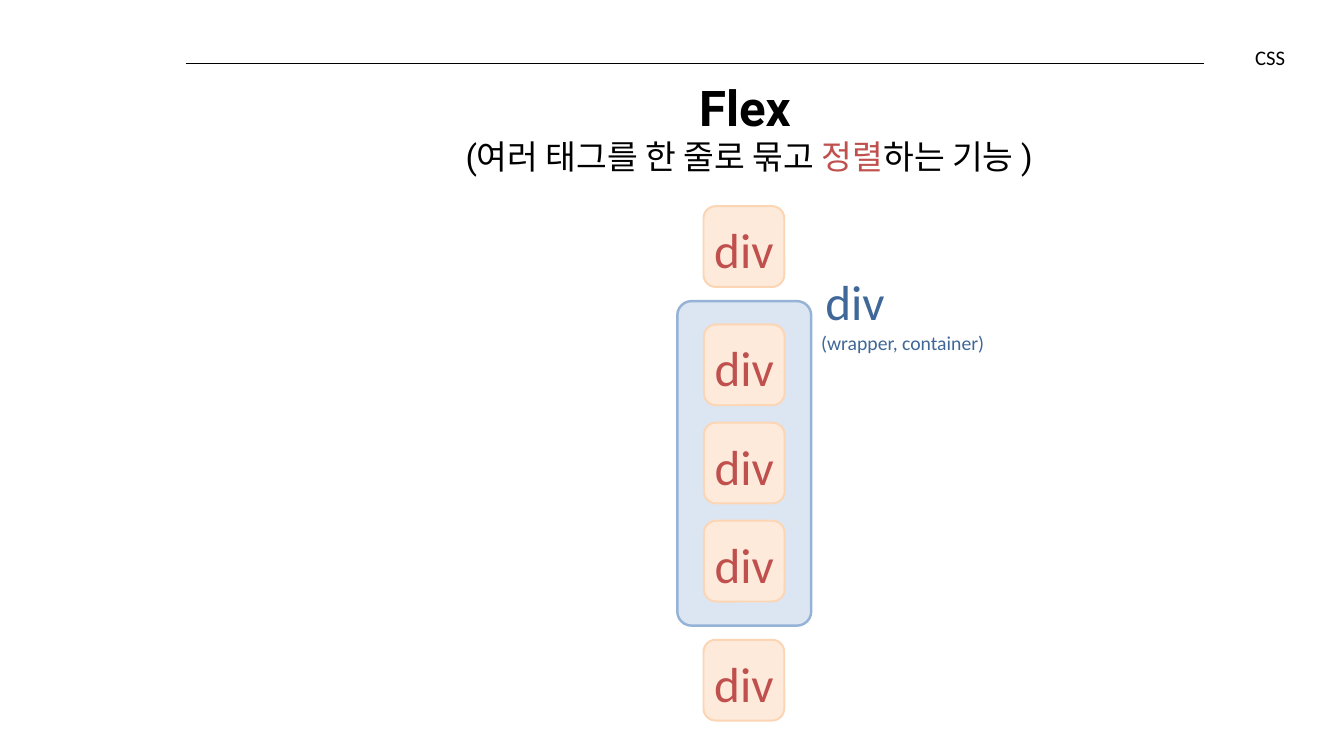
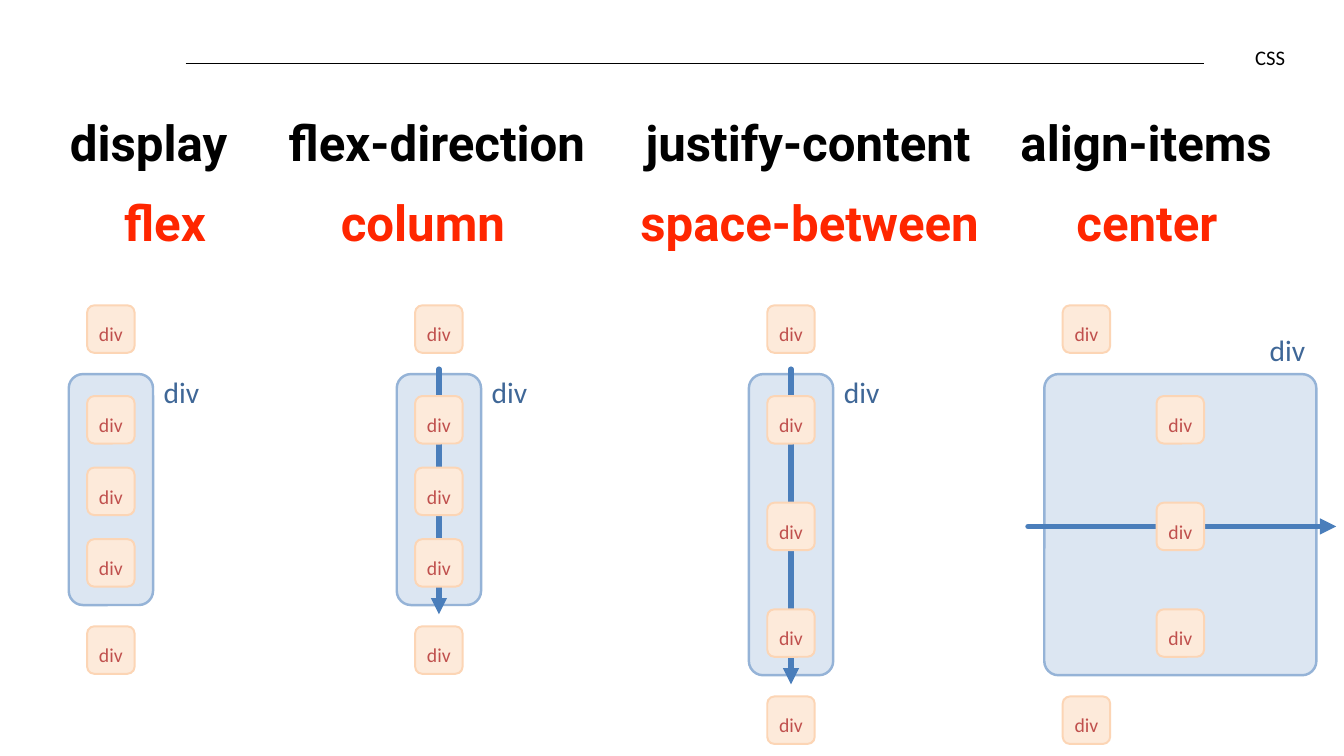
"""Build two slides that explain CSS flex containers."""
import dataclasses

import lxml.etree
import pptx
import pptx.dml.color
import pptx.enum.shapes
import pptx.enum.text
import pptx.oxml.ns
import pptx.util

Inches = pptx.util.Inches
Align = pptx.enum.text.PP_ALIGN
Anchor = pptx.enum.text.MSO_ANCHOR


@dataclasses.dataclass(frozen=True)
class Theme:
    """Hold the colours, fonts and type sizes of the deck."""
    black: str = "000000"
    red: str = "FF2600"
    accent: str = "C0504D"
    label: str = "3F6797"
    container_fill: str = "DCE6F2"
    container_line: str = "95B3D7"
    tile_fill: str = "FDEADA"
    tile_line: str = "FCD5B5"
    arrow: str = "4A7EBB"
    body_font: str = "Calibri"
    heading_font: str = "Roboto"
    heading_size: int = 50
    subtitle_size: int = 34
    label_size: int = 30
    topic_size: int = 21
    small_size: int = 20


@dataclasses.dataclass(frozen=True)
class StackStyle:
    """Hold the measures of a stack of div tiles."""
    tile: float
    text_size: int
    pad_top: float
    pad_bottom: float
    gap: float
    inset: float


@dataclasses.dataclass(frozen=True)
class Column:
    """Describe one property with its value and its diagram."""
    name: str
    name_center: float
    value: str
    value_center: float
    text_width: float
    left: float
    width: float
    height: float
    label_left: float
    label_top: float
    axis: str


THEME = Theme()
LARGE = StackStyle(1.14, THEME.heading_size, 0.33, 0.34, 0.2, 0.37)
SMALL = StackStyle(0.67, THEME.small_size, 0.31, 0.26, 0.3, 0.26)
STACK_TOP = 5.28
COLUMNS = (
    Column("display", 2.1, "flex", 2.33, 3, 0.97, 1.19, 3.26, 2.26, 5.26, ""),
    Column("flex-direction", 6.17, "column", 5.97, 4.5,
           5.6, 1.19, 3.26, 6.89, 5.26, "vertical"),
    Column("justify-content", 11.41, "space-between", 11.43, 5.2,
           10.57, 1.19, 4.25, 11.86, 5.26, "vertical"),
    Column("align-items", 16.18, "center", 16.19, 4,
           14.74, 3.84, 4.25, 17.87, 4.66, "horizontal"),
)


def rgb(value):
    """Return a colour object for a hexadecimal value."""
    return pptx.dml.color.RGBColor.from_string(value)


def format_run(run, size, color, font=THEME.body_font, bold=False):
    """Set the type style of a run."""
    run.font.size = pptx.util.Pt(size)
    run.font.color.rgb = rgb(color)
    run.font.name = font
    run.font.bold = bold


def set_margins(text_frame, horizontal, vertical):
    """Set the inner margins of a text frame in inches."""
    text_frame.margin_left = text_frame.margin_right = Inches(horizontal)
    text_frame.margin_top = text_frame.margin_bottom = Inches(vertical)


def add_text(slide, left, top, width, height, paragraphs, alignment,
             margins=(0, 0), anchor=Anchor.TOP):
    """Add a text box from lists of (text, format values) runs."""
    shape = slide.shapes.add_textbox(
        Inches(left), Inches(top), Inches(width), Inches(height))
    text_frame = shape.text_frame
    text_frame.word_wrap = True
    text_frame.vertical_anchor = anchor
    set_margins(text_frame, *margins)
    for index, runs in enumerate(paragraphs):
        paragraph = text_frame.add_paragraph() if index else text_frame.paragraphs[0]
        paragraph.alignment = alignment
        for text, *style in runs:
            run = paragraph.add_run()
            run.text = text
            format_run(run, *style)
    return shape


def add_line(slide, start, end, color, weight, arrow=False):
    """Add a straight line, optionally with an arrowhead at its end."""
    line = slide.shapes.add_connector(
        pptx.enum.shapes.MSO_CONNECTOR.STRAIGHT,
        *(Inches(value) for value in (*start, *end)))
    line.line.color.rgb = rgb(color)
    line.line.width = pptx.util.Pt(weight)
    properties = line._element.spPr
    lxml.etree.SubElement(properties, pptx.oxml.ns.qn("a:effectLst"))
    if arrow:
        outline = properties.find(pptx.oxml.ns.qn("a:ln"))
        outline.set("cap", "rnd")
        lxml.etree.SubElement(
            outline, pptx.oxml.ns.qn("a:tailEnd"), type="triangle")


def add_rounded(slide, left, top, width, height, radius, fill, line, weight):
    """Add a rounded rectangle with a corner radius in inches."""
    shape = slide.shapes.add_shape(
        pptx.enum.shapes.MSO_SHAPE.ROUNDED_RECTANGLE,
        Inches(left), Inches(top), Inches(width), Inches(height))
    shape.adjustments[0] = radius / min(width, height)
    shape.shadow.inherit = False
    shape.fill.solid()
    shape.fill.fore_color.rgb = rgb(fill)
    shape.line.color.rgb = rgb(line)
    shape.line.width = pptx.util.Pt(weight)
    return shape


def add_tile(slide, left, top, style):
    """Add one div tile."""
    shape = add_rounded(slide, left, top, style.tile, style.tile,
                        0.15 * style.tile, THEME.tile_fill, THEME.tile_line, 2)
    text_frame = shape.text_frame
    set_margins(text_frame, 0, 0.07)
    text_frame.vertical_anchor = Anchor.BOTTOM
    text_frame.text = "div"
    paragraph = text_frame.paragraphs[0]
    paragraph.alignment = Align.CENTER
    format_run(paragraph.runs[0], style.text_size, THEME.accent)


def add_axis(slide, left, top, width, height, middle, axis):
    """Add the arrow that shows the direction of an axis."""
    center = left + width / 2
    if axis == "vertical":
        start, end = (center, top - 0.07), (center, top + height + 0.13)
    else:
        start, end = (left - 0.23, middle), (left + width + 0.28, middle)
    add_line(slide, start, end, THEME.arrow, 5.5, arrow=True)


def add_stack(slide, left, top, width, height, style, axis=""):
    """Add a container with three tiles, one tile above and one below."""
    add_rounded(slide, left, top, width, height, 0.2,
                THEME.container_fill, THEME.container_line, 2.5)
    first = top + style.pad_top
    pitch = (height - style.pad_top - style.pad_bottom - style.tile) / 2
    if axis:
        middle = first + pitch + style.tile / 2
        add_axis(slide, left, top, width, height, middle, axis)
    for index in range(3):
        add_tile(slide, left + (width - style.tile) / 2,
                 first + index * pitch, style)
    for outer_top in (top - style.gap - style.tile, top + height + style.gap):
        add_tile(slide, left + style.inset, outer_top, style)


def add_topic_slide(presentation):
    """Add a blank slide with the header line and topic."""
    slide = presentation.slides.add_slide(presentation.slide_layouts[6])
    add_line(slide, (2.62, 0.9), (16.99, 0.9), THEME.black, 0.75)
    add_text(slide, 12.65, 0.63, 5.49, 0.38,
             [[("CSS", THEME.topic_size, THEME.black)]], Align.RIGHT)
    return slide


def add_heading(slide, center, top, width, text, color):
    """Add a bold one-line heading centred on a position."""
    run = (text, THEME.heading_size, color, THEME.heading_font, True)
    add_text(slide, center - width / 2, top, width, 1.21, [[run]],
             Align.CENTER, margins=(0, 0.19))


def build_flex_slide(presentation):
    """Build the slide that introduces flex."""
    slide = add_topic_slide(presentation)
    size, font = THEME.subtitle_size, THEME.heading_font
    add_text(slide, 4.86, 0.9, 11.43, 1.82, [
        [("Flex", THEME.heading_size, THEME.black, font, True),
         (" ", size, THEME.black, font, True)],
        [("(여러 태그를 한 줄로 묶고 ", size, THEME.black, font),
         ("정렬", size, THEME.accent, font),
         ("하는 기능 )", size, THEME.black, font)],
    ], Align.CENTER, margins=(0.19, 0.19))
    add_stack(slide, 9.56, 4.25, 1.89, 4.58, LARGE)
    label = add_text(slide, 11.54, 3.8, 2.73, 1.23, [
        [("div", THEME.heading_size, THEME.label)],
        [("(wrapper, container)", THEME.small_size, THEME.label)],
    ], Align.LEFT, margins=(0.05, 0.05), anchor=Anchor.MIDDLE)
    properties = label.text_frame.paragraphs[0]._p.get_or_add_pPr()
    properties.set("marL", str(Inches(0.06)))


def build_properties_slide(presentation):
    """Build the slide that compares four flex properties."""
    slide = add_topic_slide(presentation)
    for column in COLUMNS:
        add_heading(slide, column.name_center, 1.4, column.text_width,
                    column.name, THEME.black)
        add_heading(slide, column.value_center, 2.53, column.text_width,
                    column.value, THEME.red)
        add_stack(slide, column.left, STACK_TOP, column.width, column.height,
                  SMALL, column.axis)
        add_text(slide, column.label_left, column.label_top, 0.9, 0.54,
                 [[("div", THEME.label_size, THEME.label)]],
                 Align.LEFT, margins=(0.05, 0.05), anchor=Anchor.MIDDLE)


def main():
    """Build and save the presentation."""
    presentation = pptx.Presentation()
    presentation.slide_width = Inches(18.97)
    presentation.slide_height = Inches(10.67)
    build_flex_slide(presentation)
    build_properties_slide(presentation)
    presentation.save("out.pptx")


if __name__ == "__main__":
    main()
